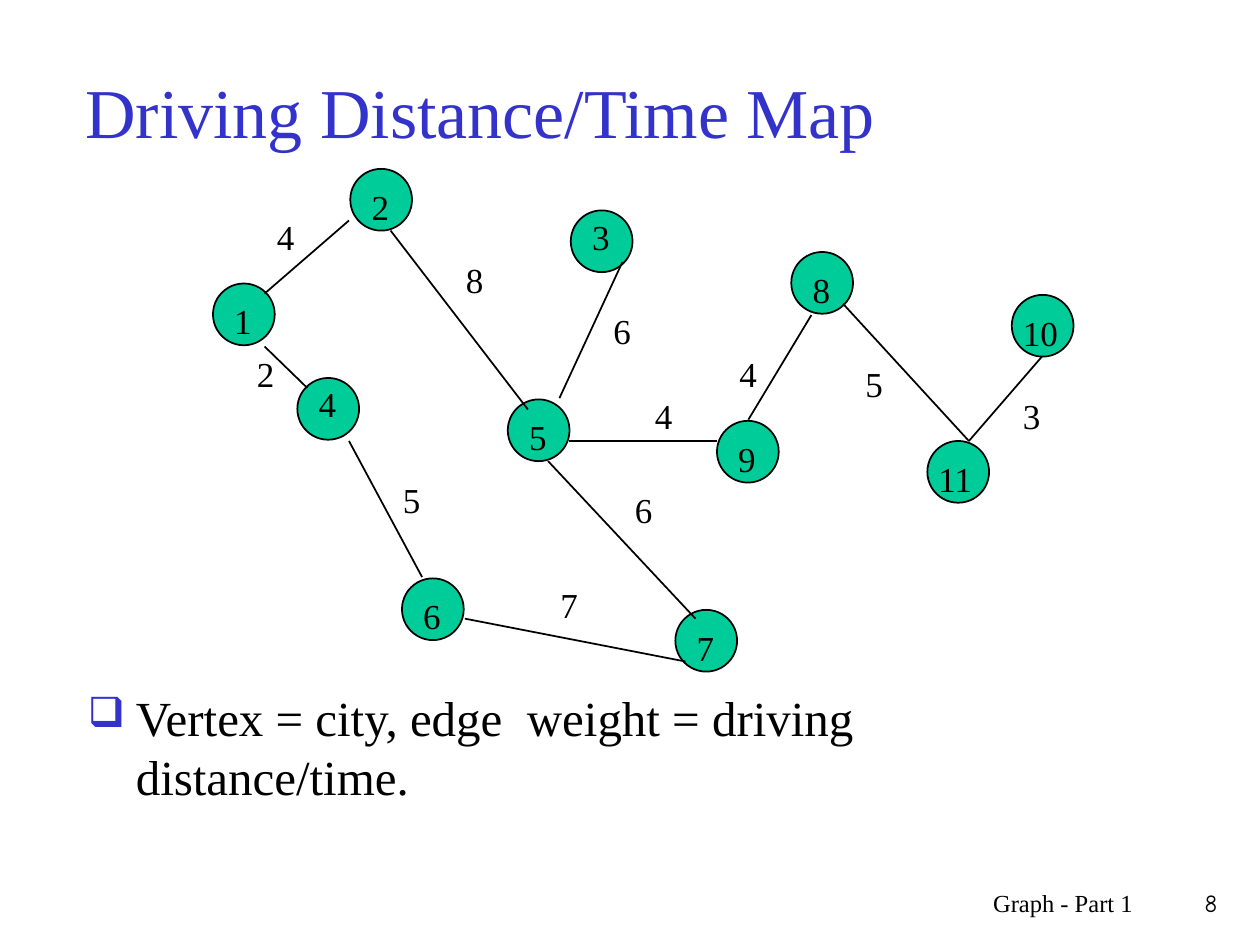
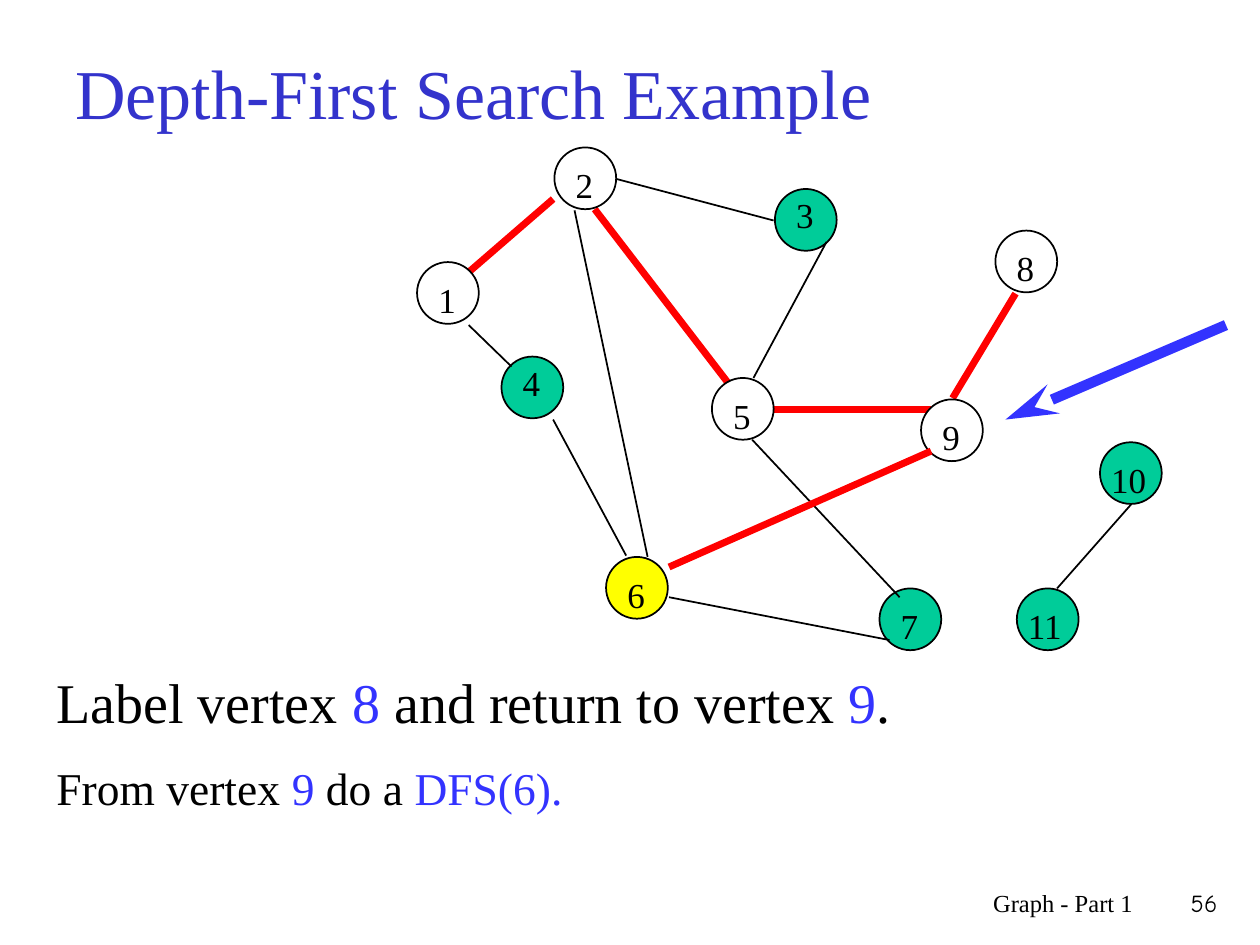
"""Builds two slides on graphs: a driving map and a depth-first search step."""
from dataclasses import dataclass

from lxml.etree import SubElement
from pptx import Presentation
from pptx.dml.color import RGBColor
from pptx.enum.shapes import MSO_CONNECTOR, MSO_SHAPE
from pptx.enum.text import MSO_ANCHOR, PP_ALIGN
from pptx.oxml.ns import qn
from pptx.util import Pt

EMU_PER_PX = 9144
NODE_SIZE = 49
RAISED_LABELS = (3, 4)
SEARCH_SHIFT = (162, -17)

CITIES = {
    1: (169, 225), 2: (278, 134), 3: (453, 167), 4: (236, 300),
    5: (403, 317), 6: (319, 459), 7: (536, 484), 8: (628, 200),
    9: (569, 334), 10: (803, 234), 11: (736, 350),
}
SHARED_EDGES = {
    (1, 2): (277, 175, 210, 233),
    (2, 5): (310, 183, 419, 325),
    (1, 4): (210, 275, 244, 308),
    (4, 6): (277, 350, 335, 458),
    (6, 7): (369, 491, 544, 525),
    (5, 7): (435, 366, 552, 491),
    (8, 9): (644, 250, 594, 333),
}
ROADS = SHARED_EDGES | {
    (3, 5): (494, 208, 444, 316),
    (8, 11): (669, 241, 769, 350),
    (10, 11): (769, 350, 827, 283),
    (5, 9): (452, 350, 569, 350),
}
ROAD_WEIGHTS = [
    (4, 210, 166), (8, 360, 200), (6, 477, 241), (6, 494, 383),
    (7, 435, 458), (5, 310, 375), (2, 194, 275), (4, 510, 308),
    (4, 577, 275), (5, 677, 283), (3, 802, 308),
]


@dataclass(frozen=True)
class Theme:
    serif: str = "Times New Roman"
    number_font: str = "Comic Neue"
    title: str = "3333CC"
    ink: str = "000000"
    accent: str = "3333FF"
    unvisited: str = "00CC99"
    visited: str = "FFFFFF"
    current: str = "FFFF00"
    trail: str = "FF0000"
    title_size: int = 40
    step_size: int = 32
    body_size: int = 28
    next_size: int = 26
    label_size: int = 20
    footer_size: int = 14
    thin: int = 1
    trail_width: int = 4
    pointer_width: int = 6


class Deck:
    def __init__(self, theme):
        self.theme = theme
        self.presentation = Presentation()
        self.presentation.slide_width = self.px(1000)
        self.presentation.slide_height = self.px(750)
        self.slide = None

    @staticmethod
    def px(length):
        return length * EMU_PER_PX

    def box(self, *bounds):
        return [self.px(length) for length in bounds]

    def text(self, bounds, pieces, size, color=None, font=None):
        frame = self.slide.shapes.add_textbox(*self.box(*bounds)).text_frame
        frame.word_wrap = True
        paragraph = frame.paragraphs[0]
        for words, piece_color in pieces:
            run = paragraph.add_run()
            run.text = words
            run.font.size = Pt(size)
            run.font.name = font or self.theme.serif
            run.font.color.rgb = RGBColor.from_string(piece_color or color or self.theme.ink)
        return frame

    def new_slide(self, title, title_bounds, number):
        theme = self.theme
        self.slide = self.presentation.slides.add_slide(self.presentation.slide_layouts[6])
        heading = self.text(title_bounds, [(title, theme.title)], theme.title_size)
        heading.vertical_anchor = MSO_ANCHOR.MIDDLE
        for bounds, words, font in (
            ((592, 700, 317, 50), "Graph - Part 1", theme.serif),
            ((908, 700, 68, 50), str(number), theme.number_font),
        ):
            footer = self.text(bounds, [(words, None)], theme.footer_size, font=font)
            footer.paragraphs[0].alignment = PP_ALIGN.RIGHT

    def bullet(self, bounds, words):
        frame = self.text(bounds, [(words, None)], self.theme.body_size)
        properties = frame.paragraphs[0]._p.get_or_add_pPr()
        properties.set("marL", str(self.px(38)))
        properties.set("indent", str(-self.px(38)))
        color = SubElement(properties, qn("a:buClr"))
        SubElement(color, qn("a:srgbClr"), val=self.theme.title)
        SubElement(properties, qn("a:buSzPct"), val="85000")
        SubElement(properties, qn("a:buChar"), char="❑")

    def circles(self, vertices, fill):
        for x, y in vertices.values():
            circle = self.slide.shapes.add_shape(
                MSO_SHAPE.OVAL, *self.box(x, y, NODE_SIZE, NODE_SIZE))
            circle.shadow.inherit = False
            circle.fill.solid()
            circle.fill.fore_color.rgb = RGBColor.from_string(fill)
            circle.line.color.rgb = RGBColor.from_string(self.theme.ink)
            circle.line.width = Pt(self.theme.thin)

    def vertex_labels(self, vertices):
        for number, (x, y) in vertices.items():
            inset, width = (7, 25) if number < 10 else (-1, 50)
            drop = -1 if number in RAISED_LABELS else 8
            self.label(number, x + inset, y + drop, width)

    def label(self, value, x, y, width=33):
        self.text((x, y, width, 43), [(str(value), None)], self.theme.label_size)

    def edge(self, ends, color=None, width=None):
        line = self.slide.shapes.add_connector(MSO_CONNECTOR.STRAIGHT, *self.box(*ends))
        line.line.color.rgb = RGBColor.from_string(color or self.theme.ink)
        line.line.width = Pt(width or self.theme.thin)
        SubElement(line._element.spPr, qn("a:effectLst"))
        return line

    def trail(self, ends):
        self.edge(ends, self.theme.trail, self.theme.trail_width)

    def pointer(self, ends):
        arrow = self.edge(ends, self.theme.accent, self.theme.pointer_width)
        SubElement(arrow.line._get_or_add_ln(), qn("a:headEnd"),
                   type="stealth", w="med", len="lg")


def shifted(places):
    return {key: tuple(value + SEARCH_SHIFT[index % 2] for index, value in enumerate(place))
            for key, place in places.items()}


def pick(places, *keys):
    return {key: places[key] for key in keys}


def driving_map(deck):
    deck.new_slide("Driving Distance/Time Map", (58, 25, 850, 125), 8)
    deck.bullet((60, 541, 850, 125), "Vertex = city, edge  weight = driving distance/time.")
    deck.circles(CITIES, deck.theme.unvisited)
    for ends in ROADS.values():
        deck.edge(ends)
    deck.vertex_labels(CITIES)
    for weight, x, y in ROAD_WEIGHTS:
        deck.label(weight, x, y)


def depth_first_search(deck):
    theme = deck.theme
    vertices = shifted(CITIES) | {10: (873, 351), 11: (807, 467)}
    edges = shifted(SHARED_EDGES) | {
        (3, 5): (656, 192, 598, 300),
        (10, 11): (839, 467, 898, 400),
        (2, 3): (489, 142, 614, 175),
        (2, 6): (456, 167, 514, 442),
        (5, 9): (614, 325, 739, 325),
        (6, 9): (531, 450, 739, 358),
    }
    walked = [(1, 2), (2, 5), (5, 9), (8, 9)]
    next_edge = (6, 9)
    unvisited = pick(vertices, 3, 4, 7, 10, 11)
    visited = pick(vertices, 1, 2, 5, 8, 9)
    current = pick(vertices, 6)

    deck.new_slide("Depth-First Search Example", (50, 30, 900, 85), 56)
    deck.circles(unvisited, theme.unvisited)
    for pair, ends in edges.items():
        if pair not in walked and pair != next_edge:
            deck.edge(ends)
    deck.vertex_labels(unvisited)
    for pair in walked:
        deck.trail(edges[pair])
    for group, fill in ((visited, theme.visited), (current, theme.current)):
        deck.circles(group, fill)
        deck.vertex_labels(group)
    deck.trail(edges[next_edge])
    deck.pointer((798, 333, 973, 258))

    deck.text((35, 525, 775, 63), [
        ("Label vertex ", None), ("8", theme.accent),
        (" and return to vertex ", None), ("9", theme.accent), (".", None),
    ], theme.step_size)
    next_step = deck.text((35, 603, 867, 42), [
        ("From vertex ", None), ("9", theme.accent),
        (" do a ", None), ("DFS(6).", theme.accent),
    ], theme.next_size)
    next_step.paragraphs[0].line_spacing = 0.9


def main():
    deck = Deck(Theme())
    driving_map(deck)
    depth_first_search(deck)
    deck.presentation.save("out.pptx")


if __name__ == "__main__":
    main()
